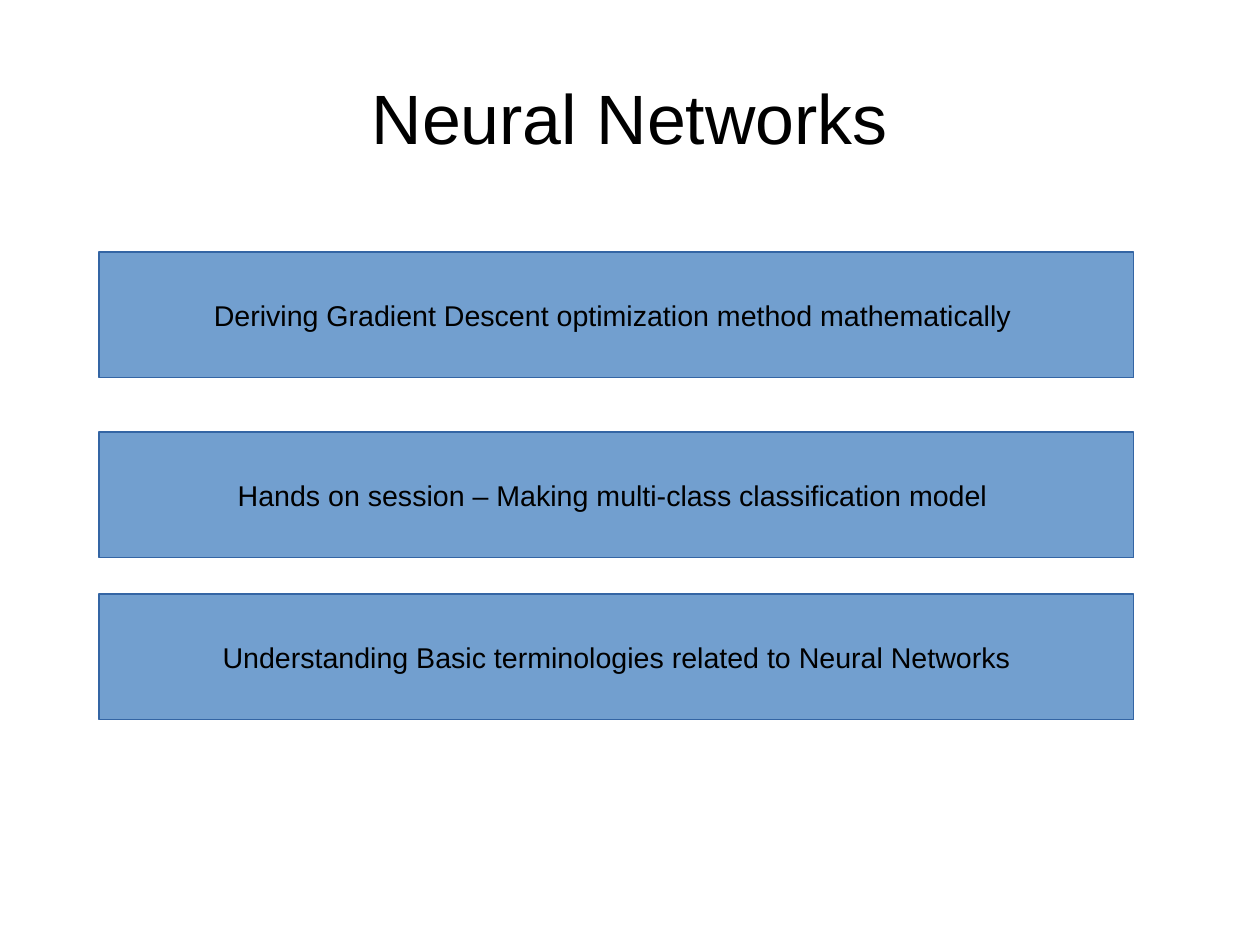
"""Build the Neural Networks agenda slide on a centimetre grid."""
from dataclasses import dataclass

from pptx import Presentation
from pptx.dml.color import RGBColor as RGB
from pptx.enum.shapes import MSO_SHAPE as Shape
from pptx.enum.text import MSO_ANCHOR as Anchor, PP_ALIGN as Align
from pptx.util import Inches, Pt


@dataclass(frozen=True)
class Theme:
    font: str = "Arial"
    ink: RGB = RGB(0x00, 0x00, 0x00)
    fill: RGB = RGB(0x72, 0x9F, 0xCF)
    edge: RGB = RGB(0x34, 0x65, 0xA4)
    title: Pt = Pt(44)
    body: Pt = Pt(18)


theme = Theme()


def metric(*sizes):
    """Turn centimetres into slide lengths."""
    return [Inches(size / 2.54) for size in sizes]


def write(frame, text, size):
    """Put one centred line of text in a frame."""
    frame.vertical_anchor = Anchor.MIDDLE
    line = frame.paragraphs[0]
    line.text = text
    line.alignment = Align.CENTER
    line.font.name = theme.font
    line.font.size = size
    line.font.color.rgb = theme.ink


deck = Presentation()
deck.slide_width, deck.slide_height = metric(28, 21)
slide = deck.slides.add_slide(deck.slide_layouts[6])

title = slide.shapes.add_textbox(*metric(1.4, 0.84, 25.2, 3.51))
frame = title.text_frame
frame.word_wrap = True
frame.margin_left = frame.margin_right = frame.margin_top = frame.margin_bottom = 0
write(frame, "Neural Networks", theme.title)

topics = [
    (9.6, "Hands on session – Making multi-class classification model "),
    (5.6, "Deriving Gradient Descent optimization method mathematically "),
    (13.2, "Understanding Basic terminologies related to Neural Networks"),
]
for top, text in topics:
    bar = slide.shapes.add_shape(Shape.RECTANGLE, *metric(2.2, top, 23, 2.8))
    bar.shadow.inherit = False
    bar.fill.solid()
    bar.fill.fore_color.rgb = theme.fill
    bar.line.color.rgb = theme.edge
    bar.line.width = Pt(0)
    bar.text_frame.word_wrap = False
    write(bar.text_frame, text, theme.body)

deck.save("out.pptx")
